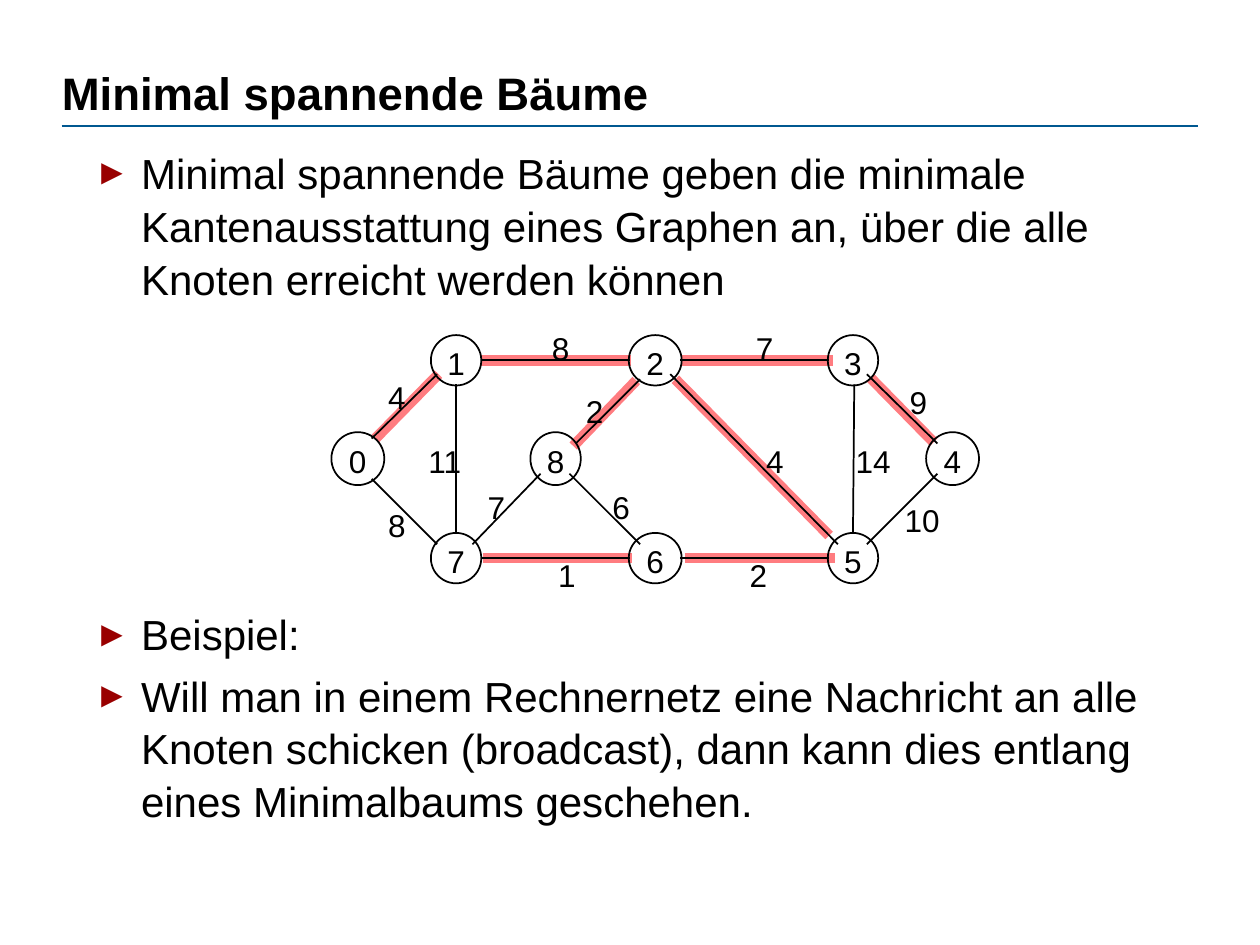
from lxml import etree
from pptx import Presentation
from pptx.dml.color import RGBColor
from pptx.enum.shapes import MSO_CONNECTOR, MSO_SHAPE
from pptx.enum.text import MSO_ANCHOR, PP_ALIGN
from pptx.oxml.ns import qn
from pptx.util import Emu, Pt

STRAIGHT = MSO_CONNECTOR.STRAIGHT
OVAL = MSO_SHAPE.OVAL
TOP = MSO_ANCHOR.TOP
LEFT = PP_ALIGN.LEFT

PX = 9144  # 100 px to the inch
FONT = "Arial"
COLORS = {"text": "000000", "rule": "005890", "bullet": "990000", "tree": "FF7C80"}

TITLE = "Minimal spannende Bäume"
# Text and space before it in points; the second one leaves room for the graph
BULLETS = [
    ("Minimal spannende Bäume geben die minimale Kantenausstattung eines "
     "Graphen an, über die alle Knoten erreicht werden können", 0),
    ("Beispiel:", 173),
    ("Will man in einem Rechnernetz eine Nachricht an alle Knoten schicken "
     "(broadcast), dann kann dies entlang eines Minimalbaums geschehen.", 4.8),
]

# Node name: grid column and row
NODES = {"0": (0, 1), "1": (1, 0), "2": (3, 0), "3": (5, 0), "4": (6, 1),
         "5": (5, 2), "6": (3, 2), "7": (1, 2), "8": (2, 1)}
# Weight, label corner, line ends, ends of the highlight on tree edges
EDGES = [
    ("4", (48, 40), (35, 88, 87, 37), (38, 88, 88, 37)),
    ("8", (178, 1), (122, 26, 240, 26), (122, 26, 241, 26)),
    ("7", (340, 1), (280, 26, 398, 26), (281, 26, 401, 26)),
    ("9", (462, 44), (428, 37, 484, 92), (431, 40, 481, 91)),
    ("10", (458, 138), (428, 172, 484, 116), None),
    ("14", (419, 91), (417, 163, 418, 45), None),
    ("4", (348, 91), (272, 37, 405, 172), (276, 41, 398, 165)),
    ("2", (335, 181), (280, 183, 398, 183), (284, 183, 403, 183)),
    ("6", (226, 127), (192, 116, 248, 172), None),
    ("1", (183, 181), (122, 183, 240, 183), (123, 183, 242, 183)),
    ("7", (127, 127), (115, 172, 169, 116), None),
    ("11", (80, 91), (102, 163, 102, 45), None),
    ("8", (48, 142), (35, 120, 87, 172), None),
    ("2", (205, 51), (197, 92, 248, 41), (195, 94, 245, 42)),
]


def px(*lengths):
    return [Emu(length * PX) for length in lengths]


def color(name):
    return RGBColor.from_string(COLORS[name])


def set_frame(frame, wrap=True):
    values = {"margin_left": 0, "margin_top": 0, "margin_right": 0,
              "margin_bottom": 0, "vertical_anchor": TOP, "word_wrap": wrap}
    for name, value in values.items():
        setattr(frame, name, value)


def write(para, text, size, bold=False):
    para.alignment = LEFT
    span = para.add_run()
    span.text = text
    for name, value in {"name": FONT, "size": Pt(size), "bold": bold}.items():
        setattr(span.font, name, value)
    span.font.color.rgb = color("text")


def add_line(page, ends, color_name, width):
    line = page.shapes.add_connector(STRAIGHT, *px(*ends))
    line.line.color.rgb = color(color_name)
    line.line.width = Pt(width)
    etree.SubElement(line._element.spPr, qn("a:effectLst"))


def add_label(page, left, top, text):
    label = page.shapes.add_textbox(*px(left, top, 14 * len(text), 30))
    set_frame(label.text_frame, wrap=False)
    write(label.text_frame.paragraphs[0], text, 18)


def add_bullet(para):
    props = para._p.get_or_add_pPr()
    props.set("marL", str(63 * PX))
    props.set("indent", str(-37 * PX))
    tint = etree.SubElement(props, qn("a:buClr"))
    etree.SubElement(tint, qn("a:srgbClr"), val=COLORS["bullet"])
    etree.SubElement(props, qn("a:buSzPct"), val="85000")
    etree.SubElement(props, qn("a:buFont"), typeface=FONT)
    etree.SubElement(props, qn("a:buChar"), char="►")


def add_title(page, left, top, width, height):
    title = page.shapes.title
    title.left, title.top, title.width, title.height = px(left, top, width, height)
    set_frame(title.text_frame)
    para = title.text_frame.paragraphs[0]
    para.line_spacing = 1.1
    write(para, TITLE, 26, bold=True)
    add_line(page, (left, top + 53, left + 902, top + 53), "rule", 0.75)


def add_body(page, left, top, width, height):
    frame = page.shapes.add_textbox(*px(left, top, width, height)).text_frame
    set_frame(frame)
    for index, (text, gap) in enumerate(BULLETS):
        para = frame.add_paragraph() if index else frame.paragraphs[0]
        para.line_spacing = 1.05
        para.space_before = Pt(gap)
        add_bullet(para)
        write(para, text, 24)


def add_graph(page, left, top):
    def shift(ends):
        return [value + (left, top)[index % 2] for index, value in enumerate(ends)]

    # Tree highlights lie below the edges
    for *_, highlight in EDGES:
        if highlight:
            add_line(page, shift(highlight), "tree", 6)
    for _, _, ends, _ in EDGES:
        add_line(page, shift(ends), "text", 1)

    # Nodes; every third column and the middle row are a little larger
    for name, (column, row) in NODES.items():
        x, y = shift((round(23.5 + 78.7 * column), round(26 + 78.5 * row)))
        width = 40 if column % 3 else 42
        height = 42 if row == 1 else 40
        node = page.shapes.add_shape(
            OVAL, *px(x - width // 2, y - height // 2, width, height))
        node.shadow.inherit = False
        node.fill.background()
        node.line.color.rgb = color("text")
        node.line.width = Pt(1)
        add_label(page, x - 7, y - 13, name)

    # Edge weights
    for weight, corner, *_ in EDGES:
        add_label(page, *shift(corner), weight)


def main():
    deck = Presentation()
    deck.slide_width, deck.slide_height = px(1000, 750)
    page = deck.slides.add_slide(deck.slide_layouts[5])
    add_title(page, 49, 47, 900, 68)
    add_body(page, 49, 115, 900, 582)
    add_graph(page, 260, 260)
    deck.save("out.pptx")


if __name__ == "__main__":
    main()
